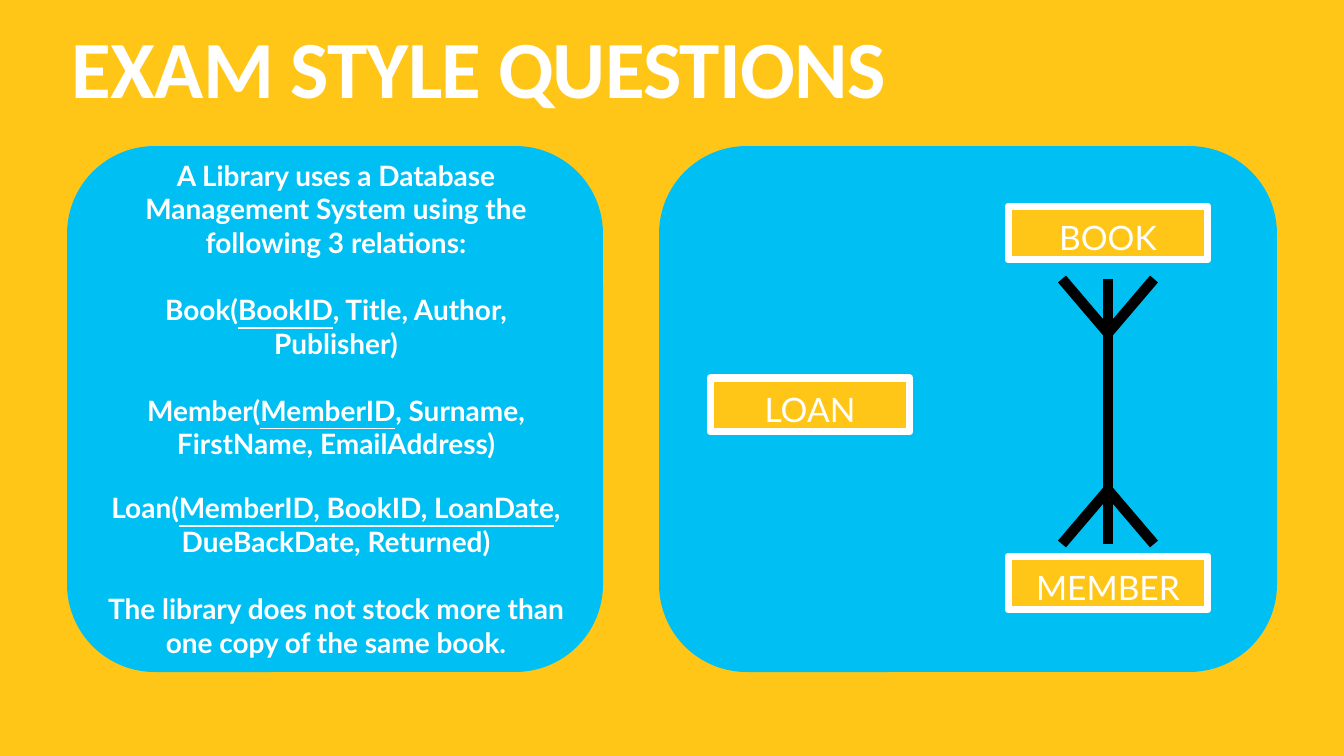
from dataclasses import dataclass
from lxml import etree
from pptx import Presentation
from pptx.dml.color import RGBColor
from pptx.enum.shapes import MSO_CONNECTOR, MSO_SHAPE
from pptx.enum.text import MSO_ANCHOR, PP_ALIGN
from pptx.oxml.ns import qn
from pptx.util import Emu, Pt


@dataclass(frozen=True)
class Theme:
    background: str = "FFC617"
    panel: str = "00BFF3"
    entity: str = "FFC618"
    white: str = "FFFFFF"
    black: str = "000000"
    title_font: str = "Calibri"
    body_font: str = "Lato"
    title_size: int = 116
    body_size: int = 40
    entity_size: int = 48
    border: int = 10
    relation_line: int = 15


THEME = Theme()
SLIDE_SIZE = (1344, 756)
TITLE = "EXAM STYLE QUESTIONS"
TITLE_AREA = (67, 31, 1027, 230)
PANELS = [(67, 146, 536, 526), (659, 146, 618, 526)]
QUESTION_AREA = (99, 153, 474, 511)
QUESTION = [
    (0, ["A Library uses a Database Management System using the following 3 relations:"]),
    (48, ["Book(", "BookID", ", Title, Author, Publisher)"]),
    (48, ["Member(", "MemberID", ", Surname, FirstName, EmailAddress)"]),
    (43.2, ["Loan(", "MemberID, BookID, LoanDate", ", DueBackDate, Returned)"]),
    (48, ["The library does not stock more than one copy of the same book."]),
]
ENTITY_SIZE = (200, 54)
ENTITIES = [("BOOK", 1008, 206), ("LOAN", 710, 378), ("MEMBER", 1008, 556)]
RELATION_X, TOE_SPREAD = 1108, 46
CROW_FEET = [(279, 333), (544, 490)]


def px(value):
    return Emu(round(value * 914400 / 50.4))


def area(*values):
    return [px(value) for value in values]


def color(name):
    return RGBColor.from_string(name)


def style(font, family, size, bold=False):
    font.name, font.size, font.bold = family, Pt(size), bold
    font.color.rgb = color(THEME.white)


def set_frame(frame, inset=3, anchor=MSO_ANCHOR.MIDDLE):
    frame.word_wrap = True
    frame.vertical_anchor = anchor
    frame.margin_left = frame.margin_right = px(inset)
    frame.margin_top = frame.margin_bottom = px(inset)


def add_block(page, kind, place, fill):
    block = page.shapes.add_shape(kind, *area(*place))
    block.shadow.inherit = False
    block.fill.solid()
    block.fill.fore_color.rgb = color(fill)
    block.line.fill.background()
    return block


def add_title(page):
    box = page.shapes.add_textbox(*area(*TITLE_AREA))
    set_frame(box.text_frame, 5, MSO_ANCHOR.TOP)
    para = box.text_frame.paragraphs[0]
    para.line_spacing = 0.8
    span = para.add_run()
    span.text = TITLE
    style(span.font, THEME.title_font, THEME.title_size, True)
    span.font._element.set("spc", "-120")


def add_question(page):
    box = page.shapes.add_textbox(*area(*QUESTION_AREA))
    frame = box.text_frame
    set_frame(frame)
    for index, (gap, parts) in enumerate(QUESTION):
        para = frame.add_paragraph() if index else frame.paragraphs[0]
        para.alignment = PP_ALIGN.CENTER
        para.space_before = Pt(gap)
        style(para.font, THEME.body_font, THEME.body_size, True)
        for position, part in enumerate(parts):
            span = para.add_run()
            span.text = part
            if position == 1:
                span.font.underline = True


def add_entity(page, name, left, top):
    block = add_block(page, MSO_SHAPE.RECTANGLE, (left, top, *ENTITY_SIZE), THEME.entity)
    block.line.color.rgb = color(THEME.white)
    block.line.width = Pt(THEME.border)
    set_frame(block.text_frame)
    para = block.text_frame.paragraphs[0]
    para.text = name
    para.alignment = PP_ALIGN.CENTER
    para.line_spacing = 1.2
    style(para.font, THEME.body_font, THEME.entity_size)


def add_relation(page):
    (top, _), (bottom, _) = CROW_FEET
    lines = [(RELATION_X, bottom, RELATION_X, top)]
    lines += [
        (RELATION_X, joint, RELATION_X + side * TOE_SPREAD, end)
        for end, joint in CROW_FEET
        for side in (-1, 1)
    ]
    group = page.shapes.add_group_shape()
    for ends in lines:
        line = group.shapes.add_connector(MSO_CONNECTOR.STRAIGHT, *area(*ends))
        line.line.color.rgb = color(THEME.black)
        line.line.width = Pt(THEME.relation_line)
        etree.SubElement(line._element.spPr, qn("a:effectLst"))


deck = Presentation()
deck.slide_width, deck.slide_height = area(*SLIDE_SIZE)
page = deck.slides.add_slide(deck.slide_layouts[6])
page.background.fill.solid()
page.background.fill.fore_color.rgb = color(THEME.background)
add_title(page)
for panel in PANELS:
    add_block(page, MSO_SHAPE.ROUNDED_RECTANGLE, panel, THEME.panel)
add_question(page)
for entity in ENTITIES:
    add_entity(page, *entity)
add_relation(page)
deck.save("out.pptx")
